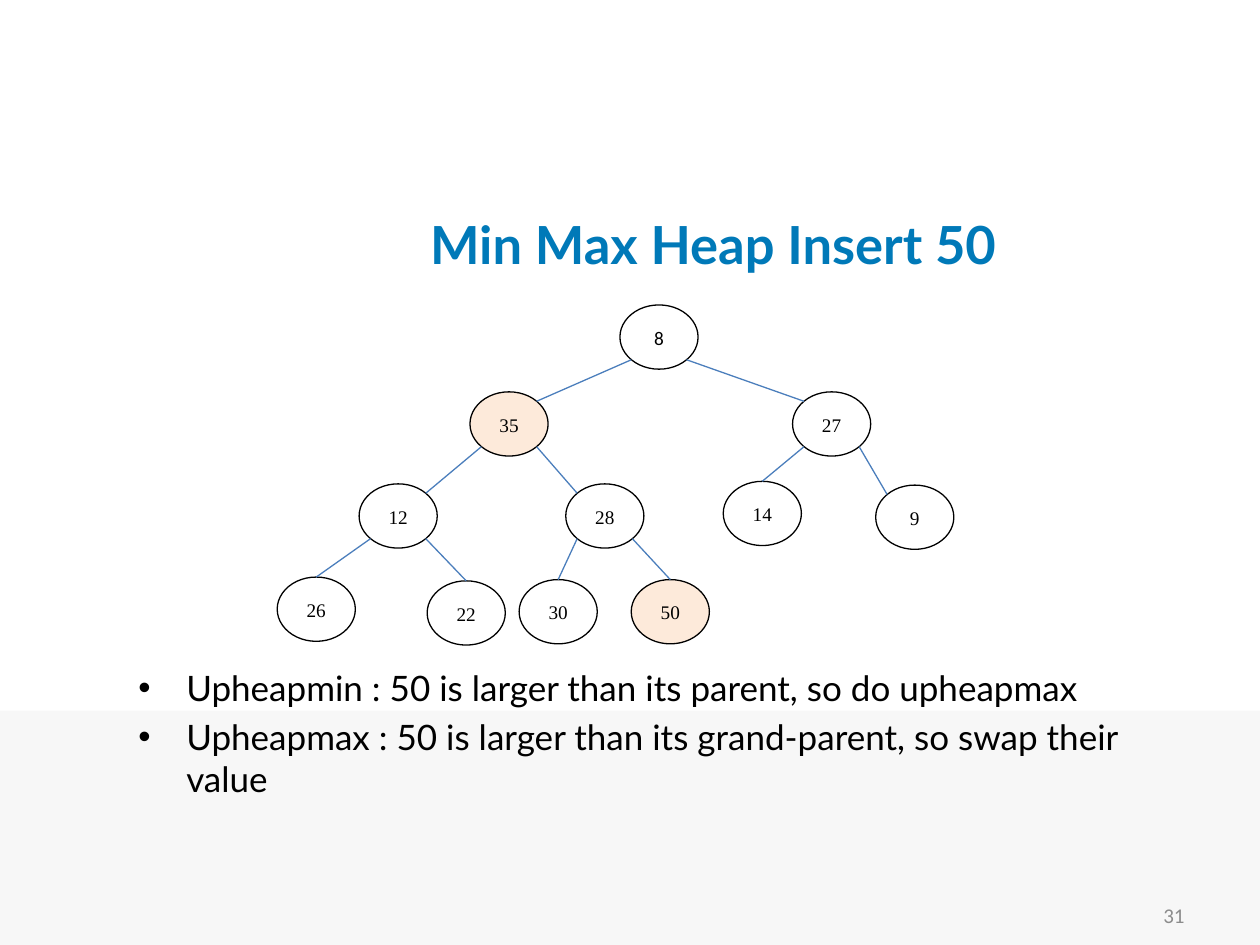
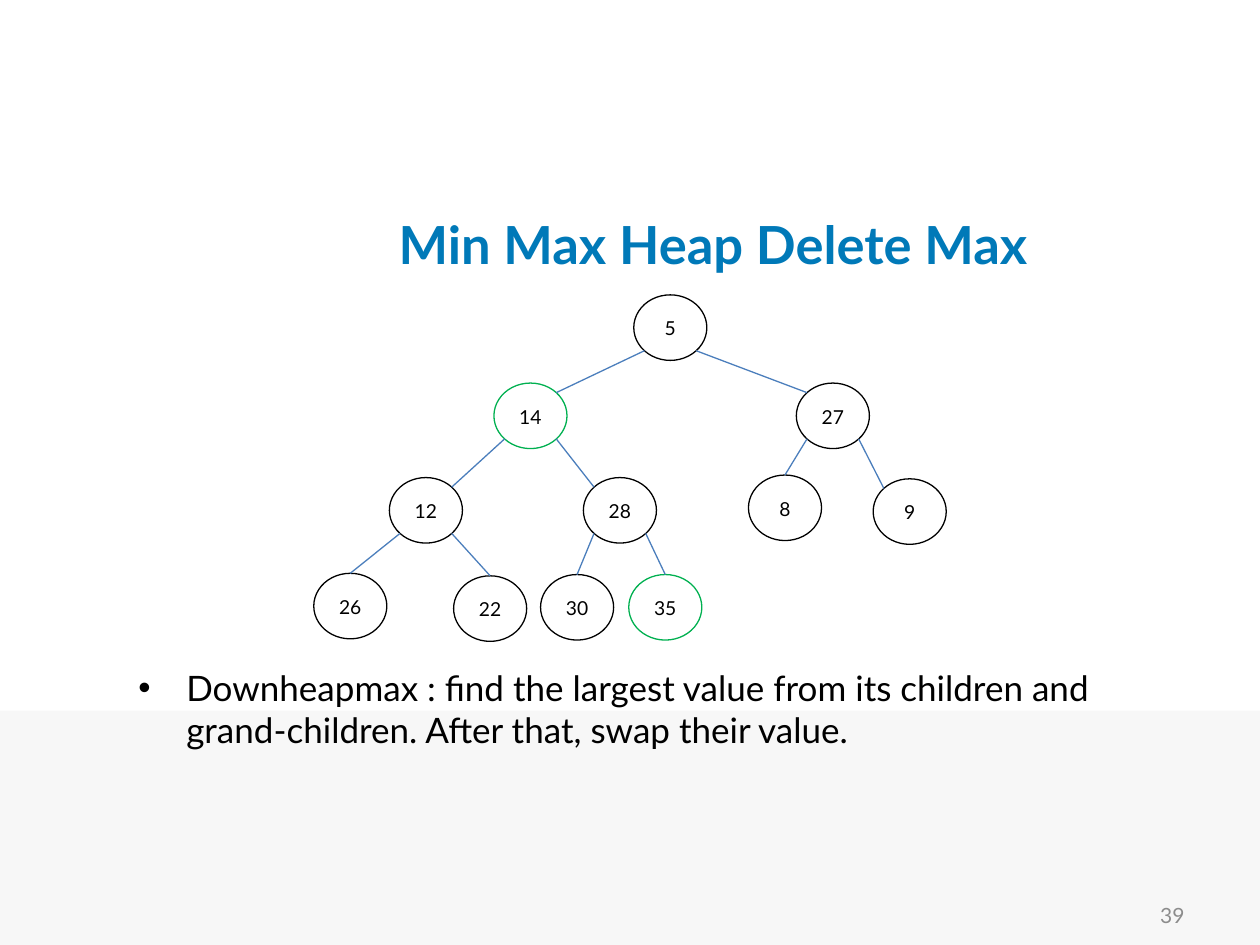
from dataclasses import dataclass, field
from math import sqrt

from lxml import etree
from pptx import Presentation
from pptx.dml.color import RGBColor
from pptx.enum.shapes import MSO_CONNECTOR, MSO_SHAPE
from pptx.enum.text import MSO_ANCHOR, PP_ALIGN
from pptx.oxml.ns import qn
from pptx.util import Inches, Pt

OVAL, RECTANGLE = MSO_SHAPE.OVAL, MSO_SHAPE.RECTANGLE
STRAIGHT = MSO_CONNECTOR.STRAIGHT
MIDDLE, TOP = MSO_ANCHOR.MIDDLE, MSO_ANCHOR.TOP
CENTER, RIGHT, LEFT = PP_ALIGN.CENTER, PP_ALIGN.RIGHT, PP_ALIGN.LEFT
TITLE_ONLY = 5


@dataclass(frozen=True)
class Theme:
    """Colours, fonts and type sizes shared by the slides."""
    paper: str = "FFFFFF"
    band: str = "F7F7F7"
    heading: str = "0079B8"
    ink: str = "000000"
    page: str = "8C8C8C"
    edge: str = "4B7EBC"
    peach: str = "FDEADA"
    green: str = "00B050"
    font: str = "Lato"
    plain_font: str = "Calibri"
    serif_font: str = "Times New Roman"
    title_size: int = 30
    bullet_size: int = 20
    page_size: int = 12
    node_size: int = 11


THEME = Theme()


@dataclass
class HeapTree:
    """A heap in level order, with each node as label, left and top."""
    nodes: list
    width: float
    height: float
    font: str
    fills: dict = field(default_factory=dict)
    outlines: dict = field(default_factory=dict)
    fonts: dict = field(default_factory=dict)


INSERT_TREE = HeapTree(
    nodes=[("8", 4.92, 2.42),
           ("35", 3.73, 3.11), ("27", 6.29, 3.11),
           ("12", 2.85, 3.84), ("28", 4.49, 3.84), ("14", 5.74, 3.82), ("9", 6.95, 3.85),
           ("26", 2.2, 4.58), ("22", 3.39, 4.61), ("30", 4.12, 4.6), ("50", 5.01, 4.6)],
    width=0.62, height=0.51, font=THEME.serif_font,
    fills={"35": THEME.peach, "50": THEME.peach},
    fonts={"8": THEME.plain_font})

DELETE_TREE = HeapTree(
    nodes=[("5", 5.03, 2.34),
           ("14", 3.92, 3.04), ("27", 6.32, 3.04),
           ("12", 3.09, 3.79), ("28", 4.63, 3.79), ("8", 5.94, 3.77), ("9", 6.93, 3.8),
           ("26", 2.49, 4.55), ("22", 3.6, 4.57), ("30", 4.29, 4.56), ("35", 4.99, 4.56)],
    width=0.58, height=0.52, font=THEME.font,
    fills=dict.fromkeys(["5", "14", "8", "35"], THEME.paper),
    outlines={"14": THEME.green, "35": THEME.green})


def rgb(code):
    """Turn a hex code into a colour."""
    return RGBColor.from_string(code)


def style_paragraph(paragraph, size, color, font, align, bold=False):
    """Set the font and alignment of a whole paragraph."""
    paragraph.alignment = align
    paragraph.font.size = Pt(size)
    paragraph.font.name = font
    paragraph.font.bold = bold
    paragraph.font.color.rgb = rgb(color)


def add_band(slide, layout):
    """Put the grey lower band behind everything on the layout."""
    band = slide.shapes.add_shape(RECTANGLE, 0, Inches(5.64), Inches(10), Inches(1.86))
    band.shadow.inherit = False
    band.fill.solid()
    band.fill.fore_color.rgb = rgb(THEME.band)
    band.line.fill.background()
    layout.shapes.element.insert(2, band.element)


def set_title(slide, text):
    """Place and format the slide title."""
    title = slide.shapes.title
    title.left, title.top = Inches(1.92), Inches(1.5)
    title.width, title.height = Inches(7.48), Inches(0.87)
    title.text_frame.text = text
    title.text_frame.vertical_anchor = MIDDLE
    style_paragraph(title.text_frame.paragraphs[0], THEME.title_size, THEME.heading,
                    THEME.font, CENTER, bold=True)


def add_text_frame(slide, left, top, width, height, anchor):
    """Add a wrapping text box and return its frame."""
    frame = slide.shapes.add_textbox(
        Inches(left), Inches(top), Inches(width), Inches(height)).text_frame
    frame.word_wrap = True
    frame.vertical_anchor = anchor
    return frame


def add_page_number(slide, number, font):
    """Add the page number at the lower right."""
    frame = add_text_frame(slide, 7.17, 7.06, 2.33, 0.4, MIDDLE)
    frame.text = number
    style_paragraph(frame.paragraphs[0], THEME.page_size, THEME.page, font, RIGHT)


def add_bullets(slide, lines):
    """Add the bulleted explanation under the tree."""
    frame = add_text_frame(slide, 1, 5.24, 8.58, 1.33, TOP)
    frame.text = "\n".join(lines)
    for paragraph in frame.paragraphs:
        style_paragraph(paragraph, THEME.bullet_size, THEME.ink, THEME.font, LEFT)
        paragraph.space_before = Pt(4)
        properties = paragraph._p.get_or_add_pPr()
        properties.set("marL", str(Inches(0.38)))
        properties.set("indent", str(-Inches(0.38)))
        etree.SubElement(properties, qn("a:buFont")).set("typeface", "Arial")
        etree.SubElement(properties, qn("a:buChar")).set("char", "•")
        properties.append(properties.find(qn("a:defRPr")))


def add_node(canvas, tree, label, left, top):
    """Draw one heap node with its key."""
    node = canvas.add_shape(OVAL, Inches(left), Inches(top),
                            Inches(tree.width), Inches(tree.height))
    node.shadow.inherit = False
    if label in tree.fills:
        node.fill.solid()
        node.fill.fore_color.rgb = rgb(tree.fills[label])
    else:
        node.fill.background()
    node.line.color.rgb = rgb(tree.outlines.get(label, THEME.ink))
    node.line.width = Pt(0)
    node.text_frame.text = label
    node.text_frame.vertical_anchor = MIDDLE
    key = node.text_frame.paragraphs[0]
    style_paragraph(key, THEME.node_size, THEME.ink, tree.fonts.get(label, tree.font), CENTER)
    key.line_spacing = 1.05
    key.space_after = Pt(8)


def rim_point(tree, index, across, down):
    """Find a point on a node's rim from a unit direction."""
    _, left, top = tree.nodes[index]
    return (Inches(left + tree.width * (1 + across) / 2),
            Inches(top + tree.height * (1 + down) / 2))


def add_edge(canvas, tree, child):
    """Join a node to its parent, reaching most leaves at the top."""
    diagonal = 1 / sqrt(2)
    side = -diagonal if child % 2 else diagonal
    is_leaf = 2 * child + 1 >= len(tree.nodes)
    enters_top = is_leaf and child != 6
    start = rim_point(tree, (child - 1) // 2, side, diagonal)
    end = rim_point(tree, child, 0, -1) if enters_top else rim_point(tree, child, -side, -diagonal)
    edge = canvas.add_connector(STRAIGHT, *start, *end)
    edge.line.color.rgb = rgb(THEME.edge)
    edge.line.width = Pt(0.75)
    etree.SubElement(edge._element.spPr, qn("a:effectLst"))


def add_tree(slide, tree):
    """Draw the heap as one group of nodes and edges."""
    canvas = slide.shapes.add_group_shape().shapes
    for node in tree.nodes:
        add_node(canvas, tree, *node)
    for child in range(1, len(tree.nodes)):
        add_edge(canvas, tree, child)


def add_heap_slide(deck, layout, title, page, page_font, bullets, tree):
    """Build one slide of title, tree, explanation and page number."""
    slide = deck.slides.add_slide(layout)
    set_title(slide, title)
    add_page_number(slide, page, page_font)
    add_bullets(slide, bullets)
    add_tree(slide, tree)
    return slide


def main():
    """Build and save the deck."""
    deck = Presentation()
    deck.slide_width, deck.slide_height = Inches(10), Inches(7.5)
    layout = deck.slide_layouts[TITLE_ONLY]
    insert_slide = add_heap_slide(
        deck, layout, "Min Max Heap Insert 50", "31", THEME.plain_font,
        ["Upheapmin : 50 is larger than its parent, so do upheapmax",
         "Upheapmax : 50 is larger than its grand-parent, so swap their value"],
        INSERT_TREE)
    add_band(insert_slide, layout)
    add_heap_slide(
        deck, layout, "Min Max Heap Delete Max", "39", THEME.font,
        ["Downheapmax : find the largest value from its children and grand-children. "
         "After that, swap their value."],
        DELETE_TREE)
    deck.save("out.pptx")


main()
